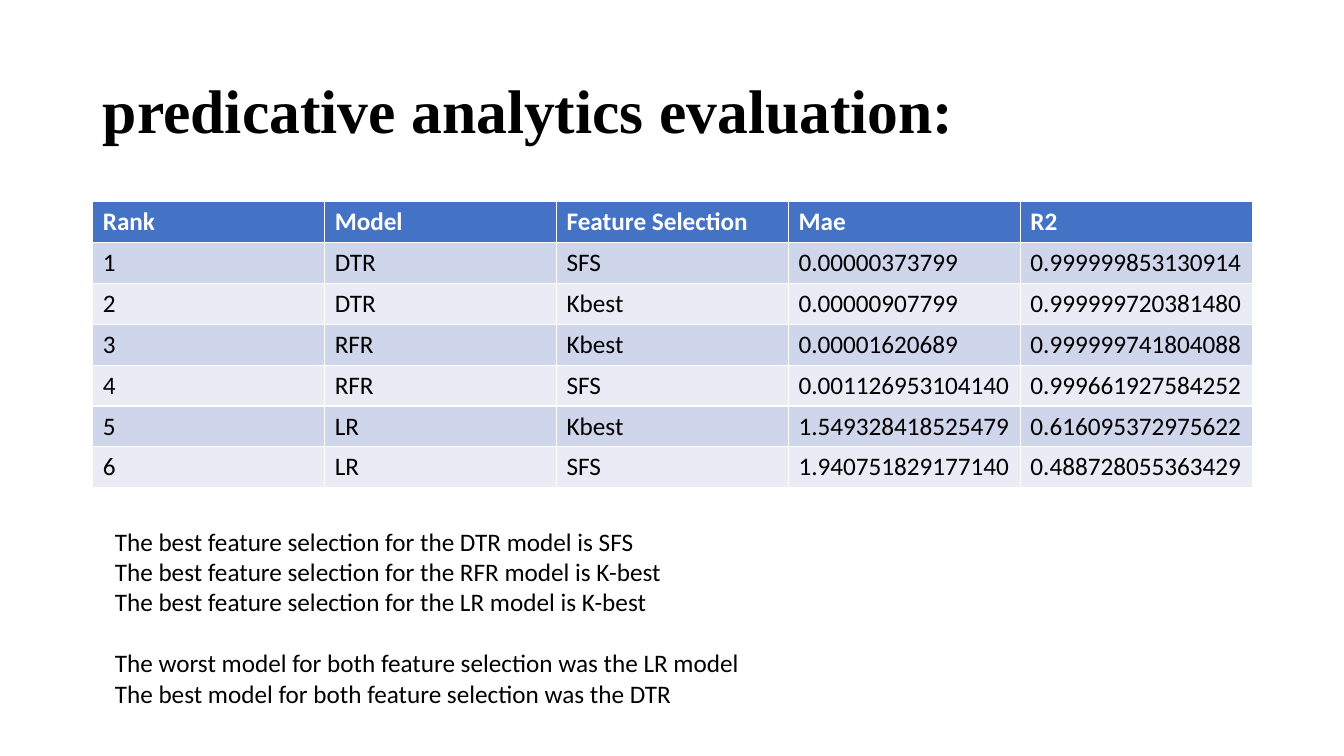
import pptx
import pptx.dml.color
import pptx.enum.text
import pptx.util
from pptx.util import Inches

COLORS = {
    "text": "000000",
    "header_text": "FFFFFF",
    "header": "4472C4",
    "odd_row": "CFD5EA",
    "even_row": "E9EBF5",
}
HEADINGS = ["Rank", "Model", "Feature Selection", "Mae", "R2"]
RESULTS = [
    ["1", "DTR", "SFS", "0.00000373799", "0.999999853130914"],
    ["2", "DTR", "Kbest", "0.00000907799", "0.999999720381480"],
    ["3", "RFR", "Kbest", "0.00001620689", "0.999999741804088"],
    ["4", "RFR", "SFS", "0.001126953104140", "0.999661927584252"],
    ["5", "LR", "Kbest", "1.549328418525479", "0.616095372975622"],
    ["6", "LR", "SFS", "1.940751829177140", "0.488728055363429"],
]
BEST_SELECTIONS = [
    "The best feature selection for the DTR model is SFS",
    "The best feature selection for the RFR model is K-best",
    "The best feature selection for the LR model is K-best",
]
MODEL_VERDICTS = [
    "The worst model for both feature selection was the LR model",
    "The best model for both feature selection was the DTR",
]


def rgb(name):
    return pptx.dml.color.RGBColor.from_string(COLORS[name])


def style_text(paragraph, color="text", size=18, font="Calibri", bold=False):
    paragraph.font.name = font
    paragraph.font.size = pptx.util.Pt(size)
    paragraph.font.bold = bold
    paragraph.font.color.rgb = rgb(color)


def set_title(page, text):
    title = page.shapes.title
    title.left, title.top = Inches(0.92), Inches(0.4)
    title.width, title.height = Inches(11.5), Inches(1.45)
    frame = title.text_frame
    frame.text = text
    frame.auto_size = pptx.enum.text.MSO_AUTO_SIZE.NONE
    frame.vertical_anchor = pptx.enum.text.MSO_ANCHOR.MIDDLE
    paragraph = frame.paragraphs[0]
    paragraph.alignment = pptx.enum.text.PP_ALIGN.LEFT
    paragraph.line_spacing = 0.9
    style_text(paragraph, size=44, font="Times New Roman", bold=True)


def add_results_table(page):
    rows = [HEADINGS, *RESULTS]
    table = page.shapes.add_table(
        len(rows), len(HEADINGS),
        Inches(0.92), Inches(2), Inches(11.5), Inches(2.84),
    ).table
    for row_index, values in enumerate(rows):
        is_header = row_index == 0
        if is_header:
            fill = "header"
        else:
            fill = "odd_row" if row_index % 2 else "even_row"
        for column_index, value in enumerate(values):
            cell = table.cell(row_index, column_index)
            cell.text = value
            cell.fill.solid()
            cell.fill.fore_color.rgb = rgb(fill)
            style_text(
                cell.text_frame.paragraphs[0],
                color="header_text" if is_header else "text",
                bold=is_header,
            )


def add_conclusions(page):
    box = page.shapes.add_textbox(
        Inches(1.04), Inches(5.17), Inches(7.65), Inches(2.22)
    )
    frame = box.text_frame
    frame.word_wrap = True
    frame.text = "\n".join(BEST_SELECTIONS + MODEL_VERDICTS)
    for paragraph in frame.paragraphs:
        style_text(paragraph)
    first_verdict = frame.paragraphs[len(BEST_SELECTIONS)]
    first_verdict.space_before = pptx.util.Pt(22)


def main():
    deck = pptx.Presentation()
    deck.slide_width, deck.slide_height = Inches(13.33), Inches(7.5)
    page = deck.slides.add_slide(deck.slide_layouts.get_by_name("Title Only"))
    set_title(page, "predicative analytics evaluation:")
    add_results_table(page)
    add_conclusions(page)
    deck.save("out.pptx")


if __name__ == "__main__":
    main()
